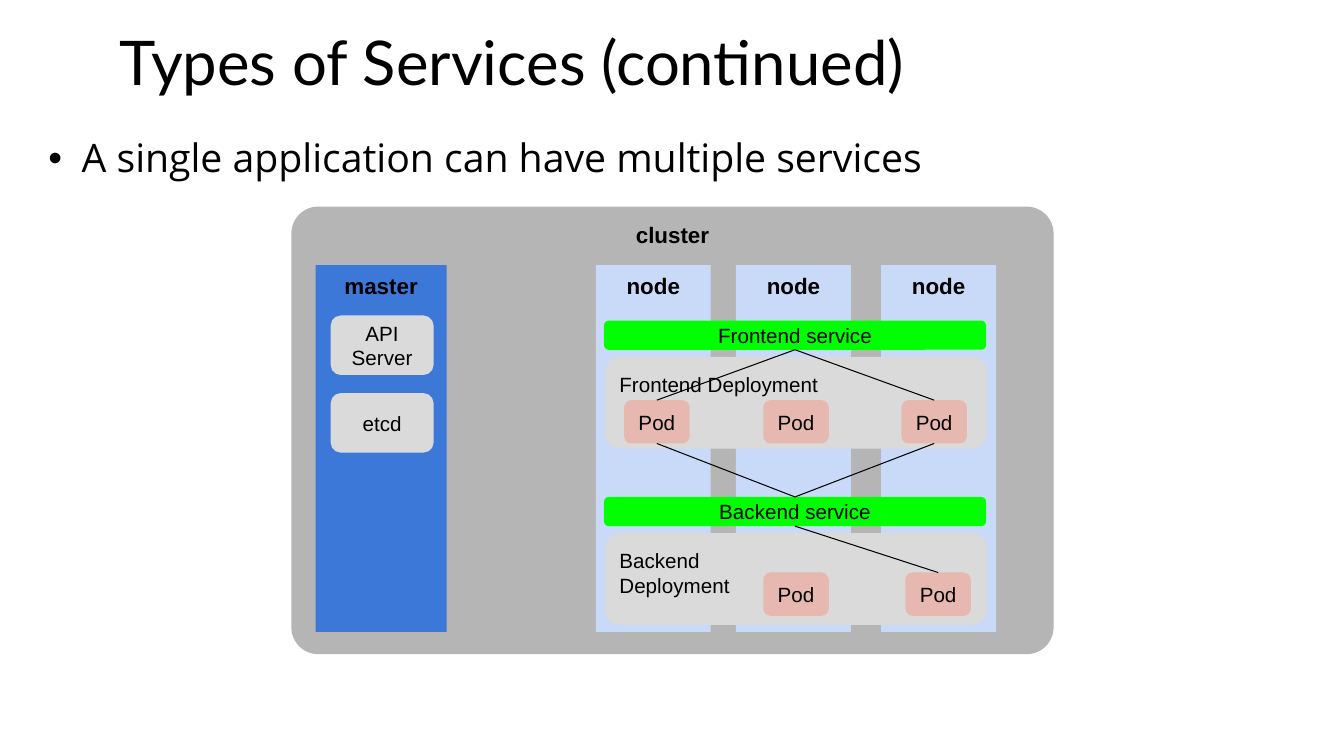
from lxml import etree
from pptx import Presentation
from pptx.dml.color import RGBColor
from pptx.enum.shapes import MSO_CONNECTOR, MSO_SHAPE
from pptx.enum.text import MSO_ANCHOR, MSO_AUTO_SIZE, PP_ALIGN
from pptx.oxml.ns import qn
from pptx.util import Inches, Pt

RECT, ROUNDED = MSO_SHAPE.RECTANGLE, MSO_SHAPE.ROUNDED_RECTANGLE
STRAIGHT = MSO_CONNECTOR.STRAIGHT
TOP, MIDDLE = MSO_ANCHOR.TOP, MSO_ANCHOR.MIDDLE
LEFT, CENTER = PP_ALIGN.LEFT, PP_ALIGN.CENTER
NO_AUTOFIT = MSO_AUTO_SIZE.NONE

COLORS = {
    "text": "000000", "cluster": "B5B5B5", "node": "C9DAF8", "master": "3C78D8",
    "panel": "DADADA", "pod": "E6B8AF", "service": "00FF00",
}
HEADING = {"size": 16, "bold": True, "anchor": TOP, "inset": 0.07}
POD_W, POD_H = 0.65, 0.43
SERVICE_H = 0.29


def write_text(shape, text, size=14.7, font="Arial", bold=False, align=CENTER,
               anchor=MIDDLE, inset=0.1, line_spacing=1.0):
    frame = shape.text_frame
    frame.text = text
    frame.word_wrap = True
    frame.auto_size = NO_AUTOFIT
    frame.vertical_anchor = anchor
    frame.margin_left = frame.margin_right = Inches(inset)
    frame.margin_top = frame.margin_bottom = Inches(inset)
    paragraph = frame.paragraphs[0]
    paragraph.alignment = align
    paragraph.line_spacing = line_spacing
    paragraph.space_before = Pt(0)
    for run in paragraph.runs:
        run.font.size = Pt(size)
        run.font.name = font
        run.font.bold = bold
        run.font.color.rgb = RGBColor.from_string(COLORS["text"])
    return paragraph


def place(shape, left, top, width, height):
    shape.left, shape.top = Inches(left), Inches(top)
    shape.width, shape.height = Inches(width), Inches(height)


def add_block(slide, box, text, color, kind=ROUNDED, corner=0.167, **text_format):
    block = slide.shapes.add_shape(kind, *(Inches(length) for length in box))
    block.shadow.inherit = False
    block.fill.solid()
    block.fill.fore_color.rgb = RGBColor.from_string(COLORS[color])
    block.line.fill.background()
    if kind == ROUNDED:
        block.adjustments[0] = corner
    write_text(block, text, **text_format)


def add_link(slide, start, end):
    link = slide.shapes.add_connector(STRAIGHT, *(Inches(v) for v in start + end))
    link.line.color.rgb = RGBColor.from_string(COLORS["text"])
    link.line.width = Pt(0.75)
    properties = link._element.spPr
    etree.SubElement(properties, qn("a:effectLst"))


def fill_title(slide, left, top, width, height):
    title = slide.shapes.title
    place(title, left, top, width, height)
    write_text(title, "Types of Services (continued)", size=44, font="Lato",
               align=LEFT, line_spacing=0.9)


def fill_body(slide, left, top, width, height):
    body = slide.placeholders[1]
    place(body, left, top, width, height)
    bullet = write_text(body, "A single application can have multiple services",
                        size=28, font="Open Sans", align=LEFT, anchor=TOP,
                        inset=0.13, line_spacing=0.9)
    properties = bullet._p.get_or_add_pPr()
    properties.set("marL", str(Inches(0.33)))
    properties.set("indent", str(Inches(-0.33)))
    etree.SubElement(properties, qn("a:buFont"), typeface="Arial")
    etree.SubElement(properties, qn("a:buChar"), char="•")


def draw_master(slide, left, top, width, height):
    add_block(slide, (left, top, width, height), "master", "master", RECT, **HEADING)
    for row, component in enumerate(("API Server", "etcd")):
        add_block(slide, (left + 0.15, top + 0.5 + row * 0.77, 1.02, 0.59),
                  component, "panel")


def draw_deployment(slide, left, top, width, height, name, pod_offsets):
    """Draw the panel and its pods; return the centre and top of each pod."""
    add_block(slide, (left, top, width, height), name, "panel",
              align=LEFT, anchor=TOP)
    pod_top = top + height - POD_H - 0.05 if len(pod_offsets) == 3 else top + 0.39
    for offset in pod_offsets:
        add_block(slide, (left + offset, pod_top, POD_W, POD_H), "Pod", "pod")
    return [(left + offset + POD_W / 2, pod_top) for offset in pod_offsets]


def draw_cluster(slide, left, top, width, height):
    add_block(slide, (left, top, width, height), "cluster", "cluster",
              corner=0.06, **HEADING)

    # Machines
    machine_top, machine_h = top + 0.58, 3.64
    for offset in (3.02, 4.41, 5.85):
        add_block(slide, (left + offset, machine_top, 1.14, machine_h),
                  "node", "node", RECT, **HEADING)
    draw_master(slide, left + 0.24, machine_top, 1.3, machine_h)

    # Deployments and the services in front of them
    tier_left, tier_w = left + 3.11, 3.79
    frontend_top, backend_top = top + 1.13, top + 2.88
    frontend_pods = draw_deployment(slide, tier_left, frontend_top + 0.36, tier_w, 0.91,
                                    "Frontend Deployment", (0.19, 1.57, 2.94))
    backend_pods = draw_deployment(slide, tier_left, backend_top + 0.36, tier_w, 0.91,
                                   "Backend\vDeployment", (1.57, 2.98))
    for service_top, name in ((frontend_top, "Frontend service"),
                              (backend_top, "Backend service")):
        add_block(slide, (tier_left - 0.01, service_top, tier_w, SERVICE_H),
                  name, "service")

    # Traffic between services and pods
    service_x = tier_left - 0.01 + tier_w / 2
    for pod_x, pod_top in (frontend_pods[0], frontend_pods[-1]):
        add_link(slide, (service_x, frontend_top + SERVICE_H), (pod_x, pod_top))
        add_link(slide, (pod_x, pod_top + POD_H), (service_x, backend_top))
    add_link(slide, (service_x, backend_top + SERVICE_H), backend_pods[-1])


def main():
    deck = Presentation()
    deck.slide_width, deck.slide_height = Inches(13.33), Inches(7.5)
    slide = deck.slides.add_slide(deck.slide_layouts[1])
    fill_title(slide, 1.09, 0.2, 11.15, 0.9)
    fill_body(slide, 0.35, 1.25, 12.65, 5.54)
    draw_cluster(slide, 2.89, 2.05, 7.56, 4.44)
    deck.save("out.pptx")


if __name__ == "__main__":
    main()
